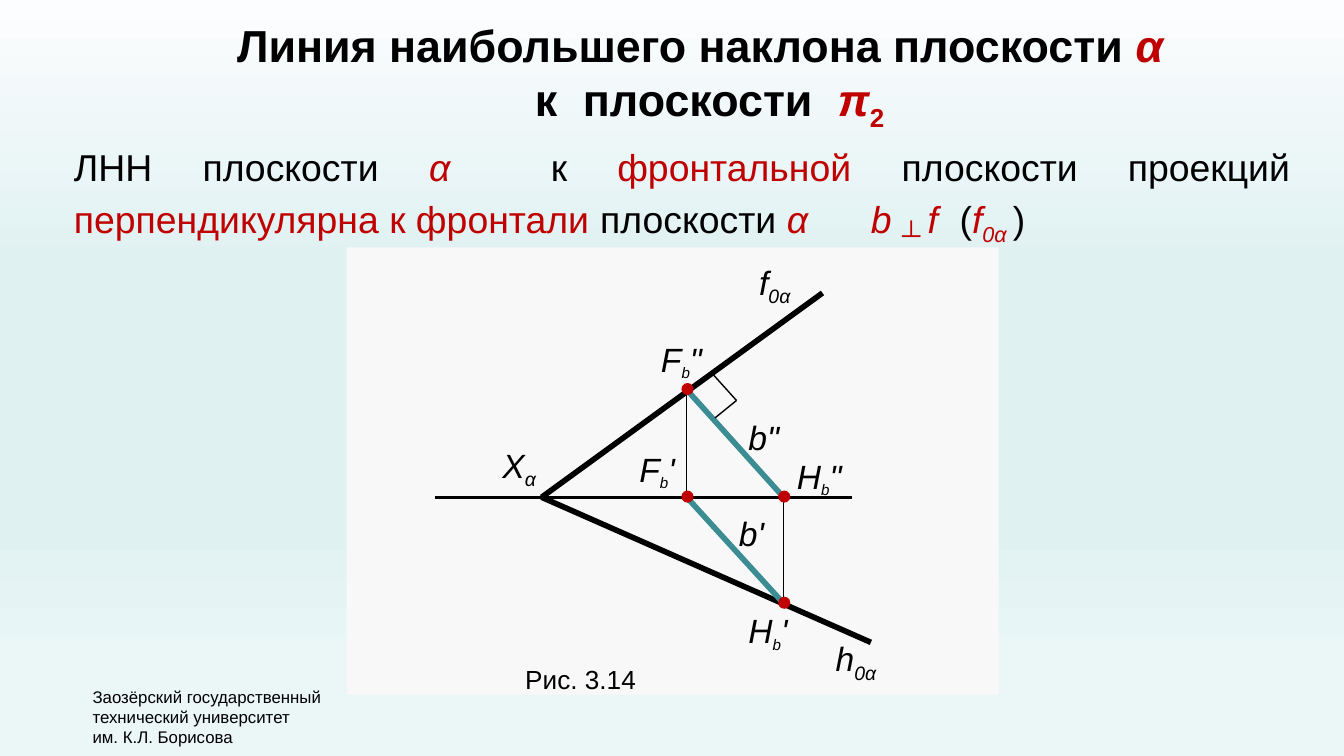
from lxml.etree import SubElement
from pptx import Presentation
from pptx.dml.color import RGBColor
from pptx.enum.shapes import MSO_CONNECTOR as Connector, MSO_SHAPE as Shape
from pptx.enum.text import MSO_ANCHOR as Anchor, MSO_AUTO_SIZE as AutoSize, PP_ALIGN as Align
from pptx.oxml.ns import qn
from pptx.util import Pt

PX = 9144  # EMU per px, 100 px to the inch
FONT = "Arial"
COLORS = {"black": "000000", "red": "C00000", "teal": "3C8C93", "panel": "F8F8F8"}
BACKGROUND_STOPS = [(0, "FCFDFE"), (35, "E0F1F2"), (67, "E0F1F2"),
                    (69, "E0F1F2"), (88, "EBF6F7"), (100, "EBF6F7")]


def px(*lengths):
    return [length * PX for length in lengths]


def color(name):
    return RGBColor.from_string(COLORS[name])


def add_run(paragraph, text, size, tone="black", style="", spacing=0):
    """Style letters: b bold, i italic, s subscript; spacing in points."""
    run = paragraph.add_run()
    run.text = text
    font = run.font
    font.name, font.size = FONT, Pt(size)
    font.bold, font.italic = "b" in style, "i" in style
    font.color.rgb = color(tone)
    properties = run._r.get_or_add_rPr()
    if "s" in style:
        properties.set("baseline", "-25000")
    if spacing:
        properties.set("spc", str(spacing * 100))


def add_text(slide, box, paragraphs):
    """Each paragraph is a list of runs in the order that add_run takes them."""
    shape = slide.shapes.add_textbox(*px(*box))
    frame = shape.text_frame
    frame.word_wrap = False
    for index, runs in enumerate(paragraphs):
        paragraph = frame.add_paragraph() if index else frame.paragraphs[0]
        for run in runs:
            add_run(paragraph, *run)


def place_placeholder(placeholder, box):
    placeholder.left, placeholder.top, placeholder.width, placeholder.height = px(*box)
    frame = placeholder.text_frame
    frame.word_wrap = True
    frame.auto_size = AutoSize.NONE
    frame.vertical_anchor = Anchor.TOP
    return frame


def paint_background(slide):
    fill = slide.background.fill
    fill.gradient()
    fill.gradient_angle = 270
    stops = slide.element.find(".//" + qn("a:gsLst"))
    for stop in list(stops):
        stops.remove(stop)
    for percent, value in BACKGROUND_STOPS:
        stop = SubElement(stops, qn("a:gs"), pos=str(percent * 1000))
        SubElement(stop, qn("a:srgbClr"), val=value)


def fill_title(slide, box):
    frame = place_placeholder(slide.shapes.title, box)
    wide_space = (" ", 24, "black", "b", 7)
    lines = [
        (0, [("Линия наибольшего наклона плоскости ", 24, "black", "b"),
             ("α", 24, "red", "bi")]),
        (14, [("к", 24, "black", "b"), wide_space, ("плоскости", 24, "black", "b"),
              wide_space, ("π", 24, "red", "bi"), ("2", 24, "red", "bs")]),
    ]
    for index, (indent, runs) in enumerate(lines):
        paragraph = frame.add_paragraph() if index else frame.paragraphs[0]
        paragraph.alignment = Align.CENTER
        paragraph._p.get_or_add_pPr().set("marL", str(indent * PX))
        for run in runs:
            add_run(paragraph, *run)


def fill_statement(slide, box):
    paragraph = place_placeholder(slide.placeholders[1], box).paragraphs[0]
    paragraph.alignment = Align.JUSTIFY
    paragraph.space_before = Pt(0)
    paragraph.line_spacing = 1.0
    properties = paragraph._p.get_or_add_pPr()
    properties.set("marL", "0")
    properties.set("indent", "0")
    SubElement(properties, qn("a:buNone"))
    for run in [
        ("ЛНН плоскости ", 20), ("α", 20, "red", "i"), (" ", 20, "red", "i", 27),
        ("к ", 20), ("фронтальной ", 20, "red"), ("плоскости проекций ", 20),
        ("перпендикулярна к фронтали ", 20, "red"), ("плоскости ", 20),
        ("α", 20, "red", "i"), (" ", 20, "red", "i", 28), ("b ", 20, "red", "i"),
        ("┴ ", 24, "red", "is"), ("f", 20, "red", "i"), (" ", 20, "red", "i", 6),
        ("(", 20), ("f", 20, "red", "i"), ("0α ", 20, "red", "is"), (")", 20),
    ]:
        add_run(paragraph, *run)


def add_shape(slide, kind, box, tone):
    shape = slide.shapes.add_shape(kind, *px(*box))
    shape.shadow.inherit = False
    shape.fill.solid()
    shape.fill.fore_color.rgb = color(tone)
    shape.line.fill.background()


def add_line(slide, start, end, width, tone="black"):
    line = slide.shapes.add_connector(Connector.STRAIGHT, *px(*start, *end))
    line.line.width = Pt(width)
    line.line.color.rgb = color(tone)
    SubElement(line._element.spPr, qn("a:effectLst"))


def draw_diagram(slide, box):
    left, top, _, _ = box

    def at(x, y):
        return left + x, top + y

    add_shape(slide, Shape.RECTANGLE, box, "panel")
    axis = 186
    vertex = at(145, axis)
    f_front, f_plan = at(253, 106), at(253, axis)
    h_front, h_plan = at(325, axis), at(325, 265)

    add_line(slide, at(66, axis), at(376, axis), 1.75)
    for trace_end in (at(354, 34), at(390, 294)):
        add_line(slide, vertex, trace_end, 3)

    for letter, subscript, size, x, y, width, mark in [
        ("X", "α", 18, 106, 142, 48, ""),
        ("f", "0α", 18, 297, 6, 51, ""),
        ("h", "0α", 18, 354, 286, 53, ""),
        ("H", "b", 14, 289, 265, 55, "'"),
        ("H", "b", 14, 325, 150, 59, '"'),
        ("F", "b", 14, 208, 145, 53, "'"),
        ("F", "b", 14, 224, 63, 57, '"'),
        ('b"', "", 18, 289, 121, 45, ""),
        ("b'", "", 18, 282, 193, 39, ""),
    ]:
        runs = [(letter, 18, "black", "i"), (subscript, size, "black", "is"),
                (mark, 18, "black", "i")]
        add_text(slide, (*at(x, y), width, 40), [[run for run in runs if run[0]]])

    for start, end in ((f_front, h_front), (f_plan, h_plan)):
        add_line(slide, start, end, 3, "teal")
    for start, end in ((h_front, h_plan), (f_front, f_plan)):
        add_line(slide, start, end, 0.75)
    corner = at(290, 114)
    for foot in (at(274, 127), at(272, 94)):
        add_line(slide, foot, corner, 0.75)

    dot = 9
    for x, y in (f_plan, h_front, h_plan, f_front):
        add_shape(slide, Shape.OVAL, (x - 4, y - 5, dot, dot), "red")
    add_text(slide, (*at(123, 305), 103, 34), [[("Рис. 3.14", 14)]])


def add_credit(slide, box):
    lines = ("Заозёрский государственный", "технический университет", "им. К.Л. Борисова")
    add_text(slide, box, [[(line, 9)] for line in lines])


def main():
    presentation = Presentation()
    presentation.slide_width = 1000 * PX
    presentation.slide_height = presentation.slide_width * 9 // 16
    slide = presentation.slides.add_slide(presentation.slide_layouts[1])
    paint_background(slide)
    fill_title(slide, (142, 8, 758, 91))
    fill_statement(slide, (45, 102, 925, 84))
    draw_diagram(slide, (258, 184, 485, 333))
    add_credit(slide, (59, 506, 198, 55))
    presentation.save("out.pptx")


if __name__ == "__main__":
    main()
